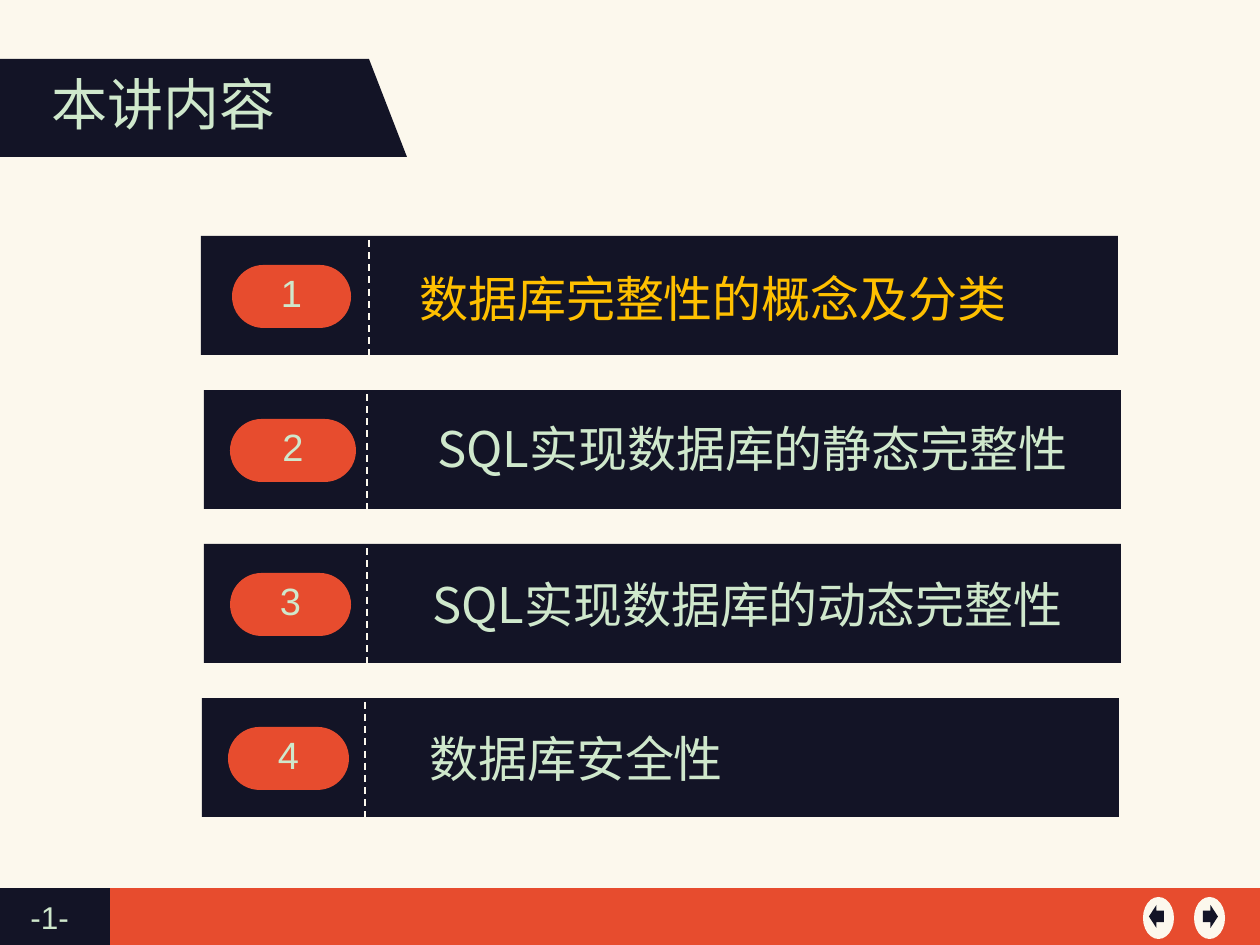
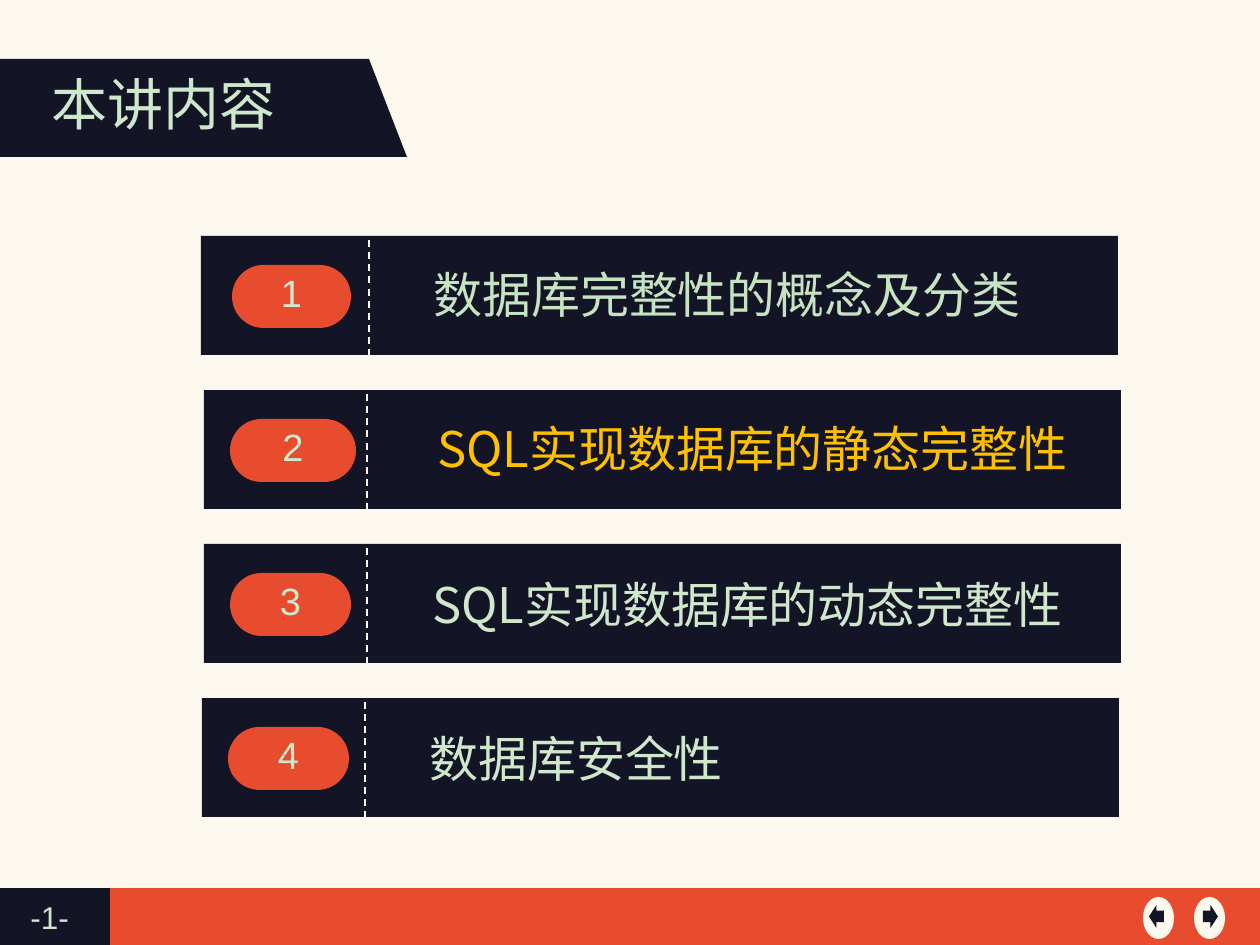
"""Build the two agenda slides of a lecture on database integrity."""

from dataclasses import dataclass

import lxml.etree
import pptx
import pptx.dml.color
import pptx.enum.dml
import pptx.enum.shapes
import pptx.enum.text
import pptx.oxml.ns
import pptx.shapes.autoshape
import pptx.slide
import pptx.text.text
import pptx.util

EMU_PER_PX = 914400 / 126
SLIDE_WIDTH, SLIDE_HEIGHT = 1260, 945

CREAM = pptx.dml.color.RGBColor(0xFC, 0xF8, 0xED)
NAVY = pptx.dml.color.RGBColor(0x13, 0x14, 0x26)
ORANGE = pptx.dml.color.RGBColor(0xE7, 0x4C, 0x2E)
MINT = pptx.dml.color.RGBColor(0xCF, 0xE8, 0xCC)
DEEP_MINT = pptx.dml.color.RGBColor(0xC6, 0xE4, 0xC2)
GOLD = pptx.dml.color.RGBColor(0xFF, 0xC0, 0x00)

LATIN_FONT = "Arial"
CHINESE_FONT = "Noto Sans CJK SC"

FOOTER_TOP = 888
FIRST_BAR_TOP, BAR_PITCH = 236, 154
BAR_WIDTH, BAR_HEIGHT = 917, 119

SHAPE = pptx.enum.shapes.MSO_SHAPE
CENTER = pptx.enum.text.PP_ALIGN.CENTER
LEFT = pptx.enum.text.PP_ALIGN.LEFT


@dataclass(frozen=True)
class Box:
    """Left, top, width and height in px."""

    left: int
    top: int
    width: int
    height: int

    def emu(self) -> tuple[int, ...]:
        """Return the four lengths in EMU."""
        return tuple(px(n) for n in (self.left, self.top, self.width, self.height))


@dataclass(frozen=True)
class TextStyle:
    """Font, size, colour and alignment of a line of text."""

    font: str
    size: float
    color: pptx.dml.color.RGBColor
    align: pptx.enum.text.PP_ALIGN = LEFT


@dataclass(frozen=True)
class Topic:
    """One agenda bar; label_drop is measured from the top of the bar."""

    label: str
    bar_left: int
    divider_x: int
    badge_left: int
    badge_width: int
    label_left: int
    label_drop: int
    label_color: pptx.dml.color.RGBColor = MINT


TITLE_STYLE = TextStyle(CHINESE_FONT, 32, MINT, CENTER)
BADGE_STYLE = TextStyle(LATIN_FONT, 21.7, MINT, CENTER)
PAGE_STYLE = TextStyle(LATIN_FONT, 18, MINT)

CONCEPTS = "数据库完整性的概念及分类"
STATIC_RULES = "SQL实现数据库的静态完整性"
DYNAMIC_TOPIC = Topic("SQL实现数据库的动态完整性", 204, 367, 230, 121, 420, 24)
SECURITY_TOPIC = Topic("数据库安全性", 202, 365, 228, 121, 417, 24)

AGENDAS = (
    (
        Topic(CONCEPTS, 201, 369, 232, 119, 407, 26, GOLD),
        Topic(STATIC_RULES, 204, 367, 230, 126, 425, 22),
        DYNAMIC_TOPIC,
        SECURITY_TOPIC,
    ),
    (
        Topic(CONCEPTS, 201, 369, 232, 119, 421, 22, DEEP_MINT),
        Topic(STATIC_RULES, 204, 367, 230, 126, 425, 22, GOLD),
        DYNAMIC_TOPIC,
        SECURITY_TOPIC,
    ),
)


def px(length: int) -> int:
    """Turn px into EMU."""
    return round(length * EMU_PER_PX)


def write(frame: pptx.text.text.TextFrame, text: str, style: TextStyle) -> None:
    """Put one styled run into the first paragraph of a frame."""
    frame.word_wrap = True
    paragraph = frame.paragraphs[0]
    paragraph.alignment = style.align
    run = paragraph.add_run()
    run.text = text
    run.font.size = pptx.util.Pt(style.size)
    run.font.color.rgb = style.color
    run.font.name = style.font
    east_asian = lxml.etree.SubElement(
        run._r.get_or_add_rPr(), pptx.oxml.ns.qn("a:ea")
    )
    east_asian.set("typeface", style.font)


def add_block(
    slide: pptx.slide.Slide,
    kind: pptx.enum.shapes.MSO_SHAPE,
    box: Box,
    color: pptx.dml.color.RGBColor,
) -> pptx.shapes.autoshape.Shape:
    """Draw a flat preset shape without outline or shadow."""
    block = slide.shapes.add_shape(kind, *box.emu())
    block.shadow.inherit = False
    block.fill.solid()
    block.fill.fore_color.rgb = color
    block.line.fill.background()
    return block


def add_label(slide: pptx.slide.Slide, box: Box, text: str, style: TextStyle) -> None:
    """Draw a text box with one line."""
    write(slide.shapes.add_textbox(*box.emu()).text_frame, text, style)


def add_divider(slide: pptx.slide.Slide, x: int, top: int, bottom: int) -> None:
    """Draw a dashed vertical line."""
    divider = slide.shapes.add_connector(
        pptx.enum.shapes.MSO_CONNECTOR.STRAIGHT, px(x), px(top), px(x), px(bottom)
    )
    divider.line.color.rgb = CREAM
    divider.line.width = pptx.util.Pt(1)
    divider.line.dash_style = pptx.enum.dml.MSO_LINE.DASH
    lxml.etree.SubElement(divider._element.spPr, pptx.oxml.ns.qn("a:effectLst"))


def add_title(slide: pptx.slide.Slide, text: str) -> None:
    """Draw the title band and set the title placeholder on top of it."""
    add_block(slide, SHAPE.RECTANGLE, Box(0, 59, 369, 98), NAVY)
    add_block(slide, SHAPE.RIGHT_TRIANGLE, Box(369, 59, 38, 98), NAVY)
    title = slide.shapes.title
    title.left, title.top, title.width, title.height = Box(29, 63, 269, 81).emu()
    title.text_frame.vertical_anchor = pptx.enum.text.MSO_ANCHOR.TOP
    title.text_frame.auto_size = pptx.enum.text.MSO_AUTO_SIZE.NONE
    write(title.text_frame, text, TITLE_STYLE)
    title.element.getparent().append(title.element)


def add_footer(slide: pptx.slide.Slide) -> None:
    """Draw the footer band, the page mark and the two navigation buttons."""
    height = SLIDE_HEIGHT - FOOTER_TOP
    add_block(slide, SHAPE.RECTANGLE, Box(0, FOOTER_TOP, SLIDE_WIDTH, height), ORANGE)
    add_block(slide, SHAPE.RECTANGLE, Box(0, FOOTER_TOP, 110, height), NAVY)
    add_label(slide, Box(18, 892, 81, 50), "-1-", PAGE_STYLE)
    for arrow, button_left, arrow_left in (
        (SHAPE.LEFT_ARROW, 1143, 1149),
        (SHAPE.RIGHT_ARROW, 1194, 1203),
    ):
        add_block(slide, SHAPE.OVAL, Box(button_left, 897, 31, 42), CREAM)
        add_block(slide, arrow, Box(arrow_left, 905, 15, 23), NAVY)


def add_topic(slide: pptx.slide.Slide, number: int, topic: Topic) -> None:
    """Draw one numbered agenda bar."""
    top = FIRST_BAR_TOP + (number - 1) * BAR_PITCH
    bar = Box(topic.bar_left, top, BAR_WIDTH, BAR_HEIGHT)
    add_block(slide, SHAPE.RECTANGLE, bar, NAVY)
    add_divider(slide, topic.divider_x, top + 4, top + 125)
    badge = add_block(
        slide,
        SHAPE.ROUNDED_RECTANGLE,
        Box(topic.badge_left, top + 29, topic.badge_width, 63),
        ORANGE,
    )
    badge.adjustments[0] = 0.5
    write(badge.text_frame, str(number), BADGE_STYLE)
    badge.text_frame.paragraphs[0].line_spacing = 0.8
    add_label(
        slide,
        Box(topic.label_left, top + topic.label_drop, 690, 72),
        topic.label,
        TextStyle(CHINESE_FONT, 28, topic.label_color),
    )


def main() -> None:
    """Build and save the presentation."""
    deck = pptx.Presentation()
    deck.slide_width, deck.slide_height = px(SLIDE_WIDTH), px(SLIDE_HEIGHT)
    backdrop = deck.slide_master.background.fill
    backdrop.solid()
    backdrop.fore_color.rgb = CREAM
    title_only = deck.slide_layouts[5]
    for agenda in AGENDAS:
        slide = deck.slides.add_slide(title_only)
        add_footer(slide)
        add_title(slide, "本讲内容")
        for number, topic in enumerate(agenda, start=1):
            add_topic(slide, number, topic)
    deck.save("out.pptx")


if __name__ == "__main__":
    main()
